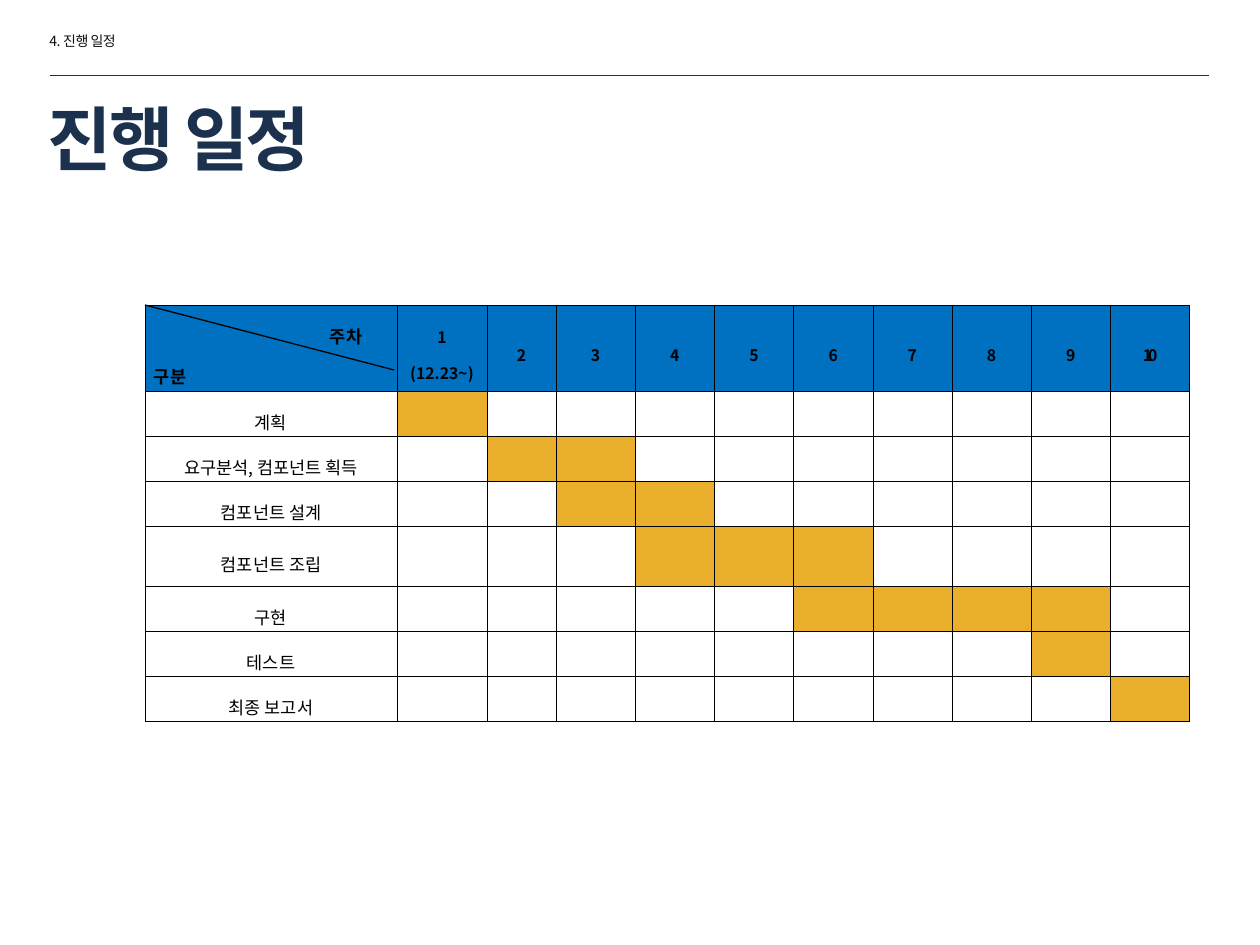
from lxml.etree import SubElement
from pptx import Presentation
from pptx.dml.color import RGBColor
from pptx.enum.shapes import MSO_CONNECTOR as CONN
from pptx.enum.text import MSO_ANCHOR as ANCHOR, MSO_AUTO_SIZE as AUTO, PP_ALIGN as ALIGN
from pptx.oxml import parse_xml
from pptx.oxml.ns import nsdecls, qn
from pptx.util import Emu, Pt

PX = 914400 // 126
FONT = "Noto Sans CJK KR"
NAVY, BLACK, BLUE, AMBER = "1C314E", "000000", "0070C0", "E9AE2B"


def px(n):
    return Emu(round(n * PX))


def color(value):
    return RGBColor.from_string(value)


def write(p, text, size=10, fill=BLACK, bold=False, align=ALIGN.LEFT,
          spacing=None, leading=None, indent=0):
    """Put one formatted run into a paragraph."""
    p.alignment = align
    if leading:
        p.line_spacing = leading
    if indent:
        pPr = p._p.get_or_add_pPr()
        pPr.set("marL", str(px(indent)))
        pPr.set("indent", "0")
    r = p.add_run()
    r.text = text
    r.font.size, r.font.bold, r.font.name = Pt(size), bold, FONT
    r.font.color.rgb = color(fill)
    rPr = r._r.get_or_add_rPr()
    SubElement(rPr, qn("a:ea")).set("typeface", FONT)
    if spacing:
        rPr.set("spc", str(round(spacing * 100)))


class Deck:
    def __init__(self):
        self.prs = Presentation()
        self.prs.slide_width, self.prs.slide_height = px(1260), px(945)
        self.s = self.prs.slides.add_slide(self.prs.slide_layouts[5])

    def title(self, text, x, y, w, h, **fmt):
        sp = self.s.shapes.title
        sp.left, sp.top, sp.width, sp.height = map(px, (x, y, w, h))
        tf = sp.text_frame
        tf.auto_size, tf.vertical_anchor = AUTO.NONE, ANCHOR.MIDDLE
        write(tf.paragraphs[0], text, **fmt)

    def text(self, text, x, y, w, h, **fmt):
        tf = self.s.shapes.add_textbox(*map(px, (x, y, w, h))).text_frame
        tf.word_wrap = True
        write(tf.paragraphs[0], text, **fmt)

    def line(self, x1, y1, x2, y2, stroke, width):
        ln = self.s.shapes.add_connector(CONN.STRAIGHT, *map(px, (x1, y1, x2, y2)))
        ln.line.color.rgb = color(stroke)
        ln.line.width = Pt(width)
        SubElement(ln._element.spPr, qn("a:effectLst"))

    def table(self, x, y, cols, rows):
        frame = self.s.shapes.add_table(len(rows), len(cols), px(x), px(y),
                                        px(sum(cols)), px(sum(rows)))
        tbl = frame.table
        tbl.first_row = tbl.horz_banding = False
        for col, w in zip(tbl.columns, cols):
            col.width = px(w)
        for row, h in zip(tbl.rows, rows):
            row.height = px(h)
        return tbl

    def cell(self, cell, lines=(), fill=None, side=13):
        """Fill, border and write a cell; lines holds (text, format) pairs."""
        cell.vertical_anchor = ANCHOR.MIDDLE
        cell.margin_left = cell.margin_right = px(side)
        cell.margin_top = cell.margin_bottom = px(3)
        if fill:
            cell.fill.solid()
            cell.fill.fore_color.rgb = color(fill)
        else:
            cell.fill.background()
        tcPr = cell._tc.get_or_add_tcPr()
        for i, edge in enumerate("LRTB"):
            tcPr.insert(i, parse_xml(
                f'<a:ln{edge} {nsdecls("a")} w="3556"><a:solidFill>'
                f'<a:srgbClr val="{BLACK}"/></a:solidFill></a:ln{edge}>'))
        tf = cell.text_frame
        for i, (text, fmt) in enumerate(lines):
            p = tf.add_paragraph() if i else tf.paragraphs[0]
            write(p, text, leading=1.6, **fmt)
        if not lines:
            SubElement(tf.paragraphs[0]._p, qn("a:endParaRPr")).set("sz", "900")


# Task name, first week, last week
TASKS = [
    ("계획", 1, 1),
    ("요구분석, 컴포넌트 획득", 2, 3),
    ("컴포넌트 설계", 3, 4),
    ("컴포넌트 조립", 4, 6),
    ("구현", 6, 9),
    ("테스트", 9, 9),
    ("최종 보고서", 10, 10),
]
WEEKS = range(1, 11)


def main():
    deck = Deck()

    # Heading
    deck.text("4. 진행 일정", 37, 26, 218, 30, size=8, fill="0D0D0D", spacing=-0.3)
    deck.line(50, 75, 1209, 75, NAVY, 0.25)
    deck.title("진행 일정", 35, 97, 964, 81, size=40, fill=NAVY, bold=True, spacing=-1.5)

    # Schedule header
    tbl = deck.table(145, 305, [252, 90, 69] + [634 / 8] * 8,
                     [86, 45, 45, 45, 60, 45, 45, 45])
    deck.cell(tbl.cell(0, 0), [("주차", dict(bold=True, indent=176)),
                               ("구분", dict(bold=True))], BLUE, side=9)
    for week in WEEKS:
        fmt = dict(size=9, bold=True, align=ALIGN.CENTER,
                   spacing=-2.3 if week > 3 else None)
        labels = [str(week)] + (["(12.23~)"] if week == 1 else [])
        deck.cell(tbl.cell(0, week), [(label, fmt) for label in labels], BLUE)

    # Schedule rows
    for row, (name, first, last) in enumerate(TASKS, 1):
        deck.cell(tbl.cell(row, 0), [(name, dict(align=ALIGN.CENTER))], side=9)
        for week in WEEKS:
            deck.cell(tbl.cell(row, week), fill=AMBER if first <= week <= last else None)

    # Diagonal of the corner cell
    deck.line(145, 305, 394, 370, BLACK, 0.75)

    deck.prs.save("out.pptx")


if __name__ == "__main__":
    main()
